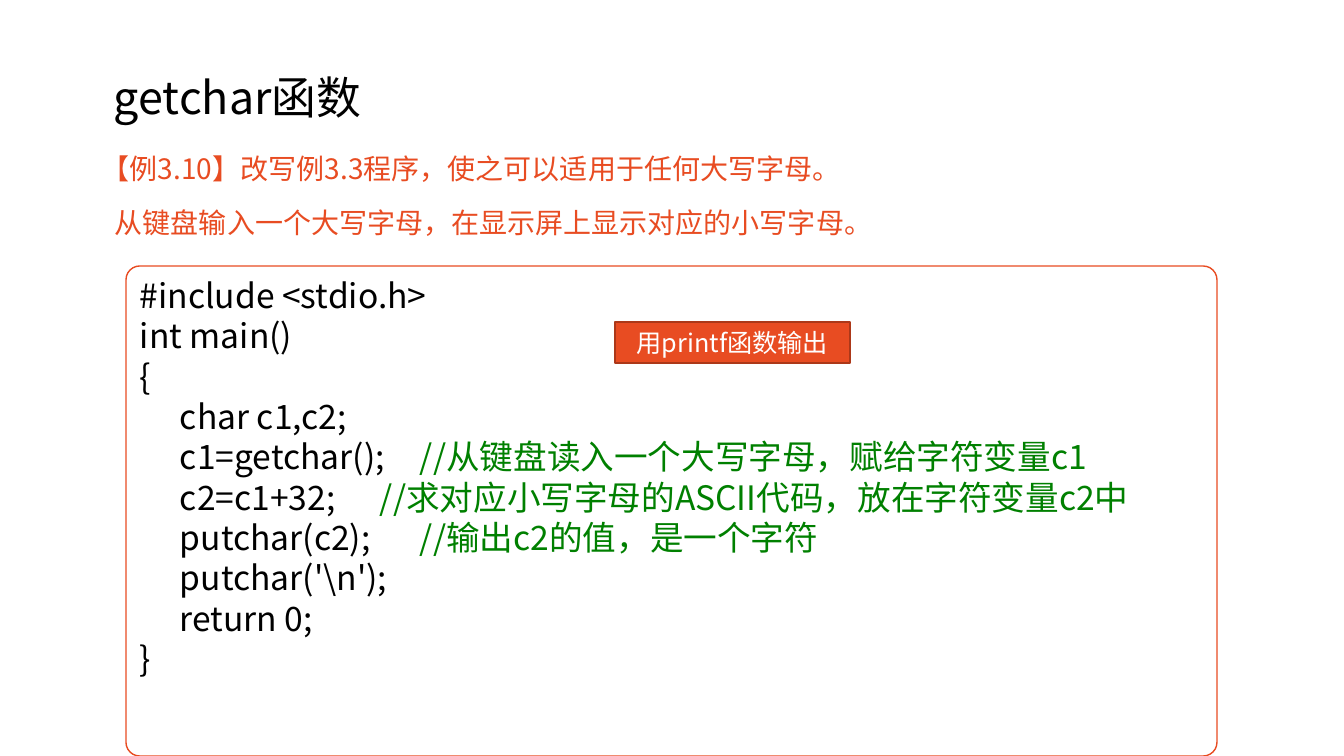
import pptx
import pptx.dml.color
import pptx.enum.shapes
import pptx.enum.text
import pptx.oxml.ns
import pptx.util
from lxml import etree

PX = 914400 / 100.8
FONT = "Noto Sans CJK SC"
COLORS = {
    "paper": "FFFFFF",
    "ink": "000000",
    "accent": "E84C22",
    "accent_edge": "AC3819",
    "comment": "008000",
}
INTRO = [
    ("【例3.10】改写例3.3程序，使之可以适用于任何大写字母。", 0),
    ("从键盘输入一个大写字母，在显示屏上显示对应的小写字母。", 13),
]
CODE = [
    ("#include <stdio.h>", ""),
    ("int main()", ""),
    ("{", ""),
    ("\tchar c1,c2;", ""),
    ("\tc1=getchar(); \t", "//从键盘读入一个大写字母，赋给字符变量c1"),
    ("\tc2=c1+32;\t\t", "//求对应小写字母的ASCII代码，放在字符变量c2中"),
    ("\tputchar(c2);\t\t", "//输出c2的值，是一个字符"),
    ("\tputchar('\\n');", ""),
    ("\treturn 0;", ""),
    ("}", ""),
]
TAB_STEP = 40
TAB_COUNT = 7


def px(length):
    """Turn pixels into EMU."""
    return pptx.util.Emu(round(length * PX))


def rgb(name):
    """Look up a named colour."""
    return pptx.dml.color.RGBColor.from_string(COLORS[name])


def style(paragraph, size, color):
    """Set the font of a whole paragraph for Latin and Chinese text."""
    font = paragraph.font
    font.size = pptx.util.Pt(size)
    font.color.rgb = rgb(color)
    font.name = FONT
    defaults = paragraph._p.pPr.find(pptx.oxml.ns.qn("a:defRPr"))
    latin = defaults.find(pptx.oxml.ns.qn("a:latin"))
    east_asian = etree.Element(pptx.oxml.ns.qn("a:ea"), typeface=FONT)
    latin.addnext(east_asian)


def add_lines(frame, count):
    """Return the given number of paragraphs in a text frame."""
    return [frame.paragraphs[0]] + [frame.add_paragraph() for _ in range(count - 1)]


def add_text_area(slide, box):
    """Add a wrapping text box and return its frame."""
    frame = slide.shapes.add_textbox(*map(px, box)).text_frame
    frame.word_wrap = True
    return frame


def add_panel(slide, box, kind, fill, line):
    """Add a filled, outlined shape without shadow."""
    panel = slide.shapes.add_shape(kind, *map(px, box))
    panel.shadow.inherit = False
    panel.fill.solid()
    panel.fill.fore_color.rgb = rgb(fill)
    panel.line.color.rgb = rgb(line)
    panel.line.width = pptx.util.Pt(1)
    return panel


def add_title(slide, box):
    """Add the slide heading."""
    frame = add_text_area(slide, box)
    frame.vertical_anchor = pptx.enum.text.MSO_ANCHOR.MIDDLE
    heading = frame.paragraphs[0]
    heading.text = "getchar函数"
    heading.line_spacing = 0.9
    style(heading, 32, "ink")


def add_intro(slide, box):
    """Add the two lines that state the exercise."""
    frame = add_text_area(slide, box)
    for row, (line, (text, indent)) in enumerate(zip(add_lines(frame, len(INTRO)), INTRO)):
        line.text = text
        line.line_spacing = 1.2
        if row:
            line.space_before = pptx.util.Pt(10)
        line._p.get_or_add_pPr().set("marL", str(px(indent)))
        style(line, 20, "accent")


def add_code(slide, box):
    """Add the rounded panel with the program listing."""
    panel = add_panel(slide, box, pptx.enum.shapes.MSO_SHAPE.ROUNDED_RECTANGLE, "paper", "accent")
    panel.adjustments[0] = 0.028
    frame = panel.text_frame
    frame.word_wrap = True
    frame.vertical_anchor = pptx.enum.text.MSO_ANCHOR.TOP
    for line, (statement, comment) in zip(add_lines(frame, len(CODE)), CODE):
        line.alignment = pptx.enum.text.PP_ALIGN.LEFT
        tabs = etree.SubElement(line._p.get_or_add_pPr(), pptx.oxml.ns.qn("a:tabLst"))
        for stop in range(1, TAB_COUNT + 1):
            etree.SubElement(tabs, pptx.oxml.ns.qn("a:tab"), pos=str(px(stop * TAB_STEP)), algn="l")
        style(line, 24, "ink")
        line.add_run().text = statement
        if comment:
            remark = line.add_run()
            remark.text = comment
            remark.font.color.rgb = rgb("comment")


def add_badge(slide, box):
    """Add the label about the printf output."""
    badge = add_panel(slide, box, pptx.enum.shapes.MSO_SHAPE.RECTANGLE, "accent", "accent_edge")
    frame = badge.text_frame
    frame.word_wrap = True
    frame.vertical_anchor = pptx.enum.text.MSO_ANCHOR.MIDDLE
    label = frame.paragraphs[0]
    label.text = "用printf函数输出"
    label.alignment = pptx.enum.text.PP_ALIGN.CENTER
    style(label, 18, "paper")


def main():
    """Build the slide and save it."""
    deck = pptx.Presentation()
    deck.slide_width, deck.slide_height = px(1344), px(756)
    slide = deck.slides.add_slide(deck.slide_layouts[6])
    add_title(slide, (104, 27, 653, 146))
    add_intro(slide, (92, 140, 1070, 65))
    add_code(slide, (126, 266, 1091, 490))
    add_badge(slide, (615, 322, 235, 41))
    deck.save("out.pptx")


if __name__ == "__main__":
    main()
